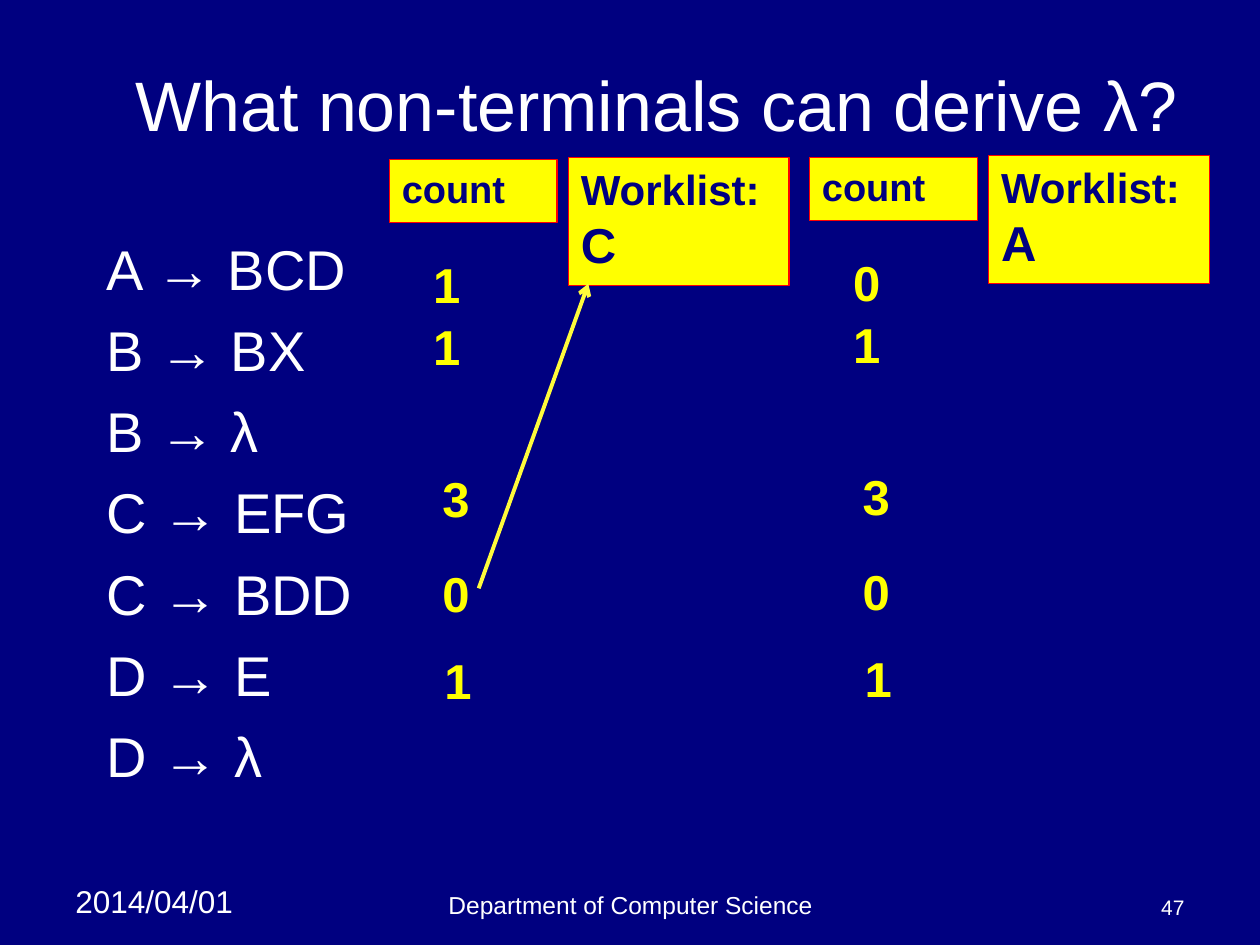
from lxml import etree
from pptx import Presentation
from pptx.dml.color import RGBColor
from pptx.enum.shapes import MSO_CONNECTOR, MSO_SHAPE
from pptx.enum.text import MSO_ANCHOR, PP_ALIGN
from pptx.oxml.ns import qn
from pptx.util import Cm, Pt

LEFT, CENTER, RIGHT = PP_ALIGN.LEFT, PP_ALIGN.CENTER, PP_ALIGN.RIGHT
TOP, MIDDLE, BOTTOM = MSO_ANCHOR.TOP, MSO_ANCHOR.MIDDLE, MSO_ANCHOR.BOTTOM
RECT, STRAIGHT = MSO_SHAPE.RECTANGLE, MSO_CONNECTOR.STRAIGHT

NAVY, WHITE, YELLOW, RED, LEMON = "000080", "FFFFFF", "FFFF00", "FF0000", "FFFB3B"
FONT = "Arial"

RULES = ["A → BCD", "B → BX", "B → λ", "C → EFG", "C → BDD", "D → E", "D → λ"]
COUNT_SPOTS = [(8.48, 5), (8.48, 6.25), (8.67, 9.32), (8.67, 11.23), (8.71, 12.98)]
STEPS = [("11301", "C"), ("01301", "A")]
STEP_DX, STEP_DY = 8.47, -0.04


def rgb(value):
    return RGBColor.from_string(value)


class Deck:
    def __init__(self, prs):
        self.s = prs.slides.add_slide(prs.slide_layouts[6])
        fill = self.s.background.fill
        fill.solid()
        fill.fore_color.rgb = rgb(NAVY)

    def set_text(self, sp, lines, color, bold, align, anchor, gap=0, wrap=True):
        tf = sp.text_frame
        tf.word_wrap = wrap
        tf.vertical_anchor = anchor
        for i, (text, size) in enumerate(lines):
            p = tf.paragraphs[0] if i == 0 else tf.add_paragraph()
            p.text = text
            p.alignment = align
            if i:
                p.space_before = Pt(gap)
            p.font.name = FONT
            p.font.size = Pt(size)
            p.font.bold = bold
            p.font.color.rgb = rgb(color)

    def text(self, x, y, w, h, lines, color=WHITE, bold=False, align=LEFT,
             anchor=TOP, gap=0, wrap=True):
        sp = self.s.shapes.add_textbox(Cm(x), Cm(y), Cm(w), Cm(h))
        self.set_text(sp, lines, color, bold, align, anchor, gap, wrap)

    def box(self, x, y, w, h, lines):
        sp = self.s.shapes.add_shape(RECT, Cm(x), Cm(y), Cm(w), Cm(h))
        sp.shadow.inherit = False
        sp.fill.solid()
        sp.fill.fore_color.rgb = rgb(YELLOW)
        sp.line.color.rgb = rgb(RED)
        sp.line.width = Pt(0.75)
        self.set_text(sp, lines, NAVY, True, LEFT, TOP)

    def arrow(self, x1, y1, x2, y2):
        sp = self.s.shapes.add_connector(STRAIGHT, Cm(x1), Cm(y1), Cm(x2), Cm(y2))
        sp.line.color.rgb = rgb(LEMON)
        sp.line.width = Pt(2.25)
        sp_pr = sp._element.spPr
        etree.SubElement(sp_pr.find(qn("a:ln")), qn("a:tailEnd"), type="arrow")
        etree.SubElement(sp_pr, qn("a:effectLst"))

    def step(self, dx, dy, counts, worklist):
        self.box(7.85 + dx, 3.22 + dy, 3.38, 1.27, [("count", 21.7)])
        for (x, y), count in zip(COUNT_SPOTS, counts):
            self.text(x + dx, y + dy, 1.04, 1.45, [(count, 28)],
                      YELLOW, True, wrap=False)
        self.box(11.46 + dx, 3.18 + dy, 4.45, 2.58,
                 [("Worklist:", 24), (worklist, 28)])


def main():
    prs = Presentation()
    prs.slide_width, prs.slide_height = Cm(25.4), Cm(19.05)
    deck = Deck(prs)
    deck.text(1.27, 17.65, 4.01, 1.02, [("2014/04/01", 18)])
    deck.text(8.69, 17.35, 8.05, 1.32, [("Department of Computer Science", 14)],
              align=CENTER, anchor=BOTTOM)
    deck.text(18.21, 17.35, 5.92, 1.32, [("47", 12)], align=RIGHT, anchor=BOTTOM)
    deck.text(1.9, 1.14, 22.66, 1.9, [("What non-terminals can derive λ?", 40)],
              align=CENTER, anchor=MIDDLE)
    deck.text(1.9, 4.6, 21.8, 11.64, [(rule, 32) for rule in RULES], gap=8)
    for i, (counts, worklist) in enumerate(STEPS):
        deck.step(i * STEP_DX, i * STEP_DY, counts, worklist)
    deck.arrow(9.65, 11.86, 11.86, 5.72)
    prs.save("out.pptx")


if __name__ == "__main__":
    main()
